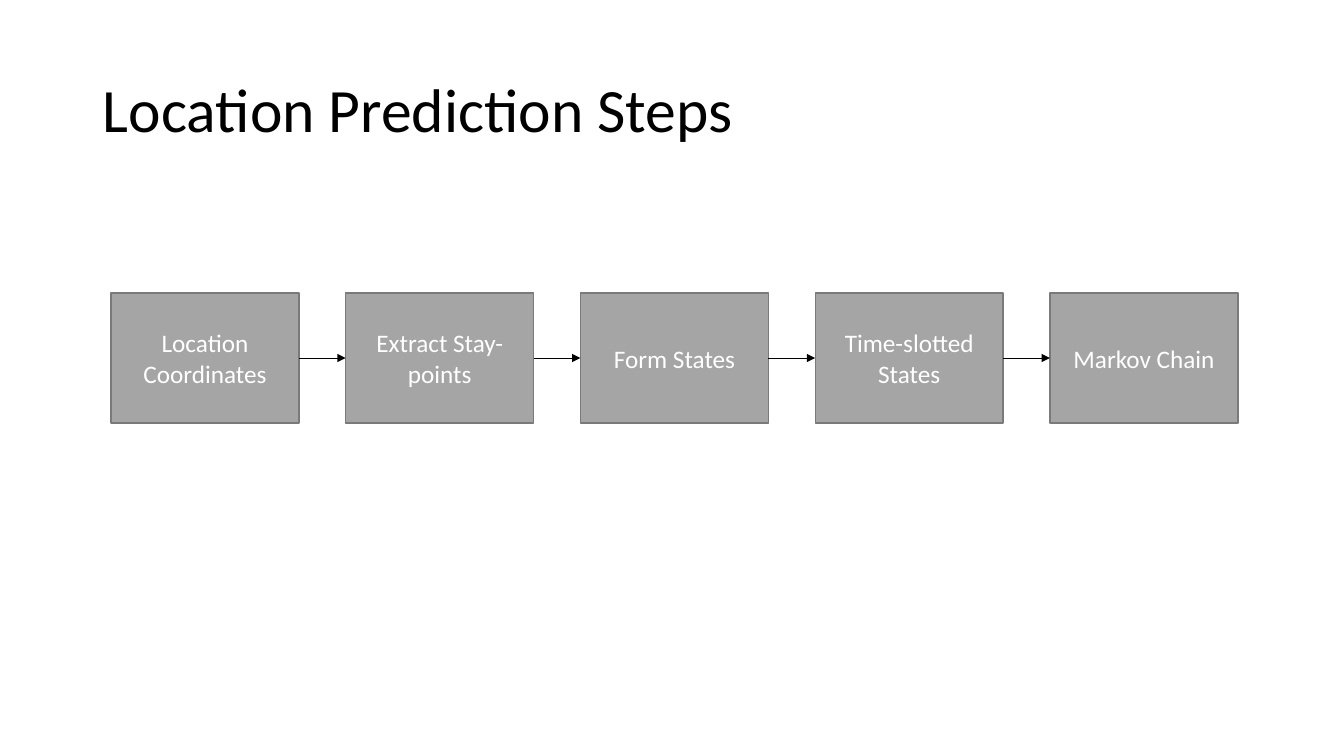
from lxml.etree import SubElement
from pptx import Presentation
from pptx.dml.color import RGBColor
from pptx.enum.shapes import MSO_CONNECTOR, MSO_SHAPE
from pptx.enum.text import MSO_ANCHOR, PP_ALIGN
from pptx.oxml.ns import qn
from pptx.util import Pt

SCALE = 914400 / 100.8  # EMU per px
FONT = "Calibri"
COLORS = {"ink": "000000", "fill": "A5A5A5", "edge": "7A7A7A", "label": "FFFFFF"}
STEPS = ["Location Coordinates", "Extract Stay-points", "Form States",
         "Time-slotted States", "Markov Chain"]


def px(n):
    return round(n * SCALE)


def color(name):
    return RGBColor.from_string(COLORS[name])


def write(shape, text, size=18, ink="ink", align=PP_ALIGN.LEFT, space=1.0):
    frame = shape.text_frame
    frame.word_wrap = True
    frame.vertical_anchor = MSO_ANCHOR.MIDDLE
    para = frame.paragraphs[0]
    para.alignment = align
    para.line_spacing = space
    run = para.add_run()
    run.text = text
    run.font.name = FONT
    run.font.size = Pt(size)
    run.font.color.rgb = color(ink)


def add_title(slide, text, left, top, width, height):
    box = slide.shapes.add_textbox(px(left), px(top), px(width), px(height))
    write(box, text, size=44, space=0.9)


def add_step(slide, text, left, top, width, height):
    box = slide.shapes.add_shape(MSO_SHAPE.RECTANGLE, px(left), px(top),
                                 px(width), px(height))
    box.shadow.inherit = False
    box.fill.solid()
    box.fill.fore_color.rgb = color("fill")
    box.line.color.rgb = color("edge")
    box.line.width = Pt(1)
    write(box, text, ink="label", align=PP_ALIGN.CENTER)
    return box


def add_arrow(slide, start, end):
    arrow = slide.shapes.add_connector(MSO_CONNECTOR.STRAIGHT, 0, 0, 0, 0)
    arrow.begin_connect(start, 3)
    arrow.end_connect(end, 1)
    arrow.line.color.rgb = color("ink")
    arrow.line.width = Pt(0.5)
    SubElement(arrow.line._get_or_add_ln(), qn("a:tailEnd"), type="triangle")
    SubElement(arrow._element.spPr, qn("a:effectLst"))


def add_flow(slide, steps, left, top, width, height, wide=188):
    # Boxes spread evenly over the width
    pitch = (width - wide) / (len(steps) - 1)
    boxes = [add_step(slide, text, left + i * pitch, top, wide, height)
             for i, text in enumerate(steps)]
    # Arrows between neighbours
    for start, end in zip(boxes, boxes[1:]):
        add_arrow(slide, start, end)


def main():
    deck = Presentation()
    deck.slide_width, deck.slide_height = px(1344), px(756)
    slide = deck.slides.add_slide(deck.slide_layouts[6])
    add_title(slide, "Location Prediction Steps", 93, 40, 1159, 146)
    add_flow(slide, STEPS, 111, 293, 1127, 130)
    deck.save("out.pptx")


if __name__ == "__main__":
    main()
